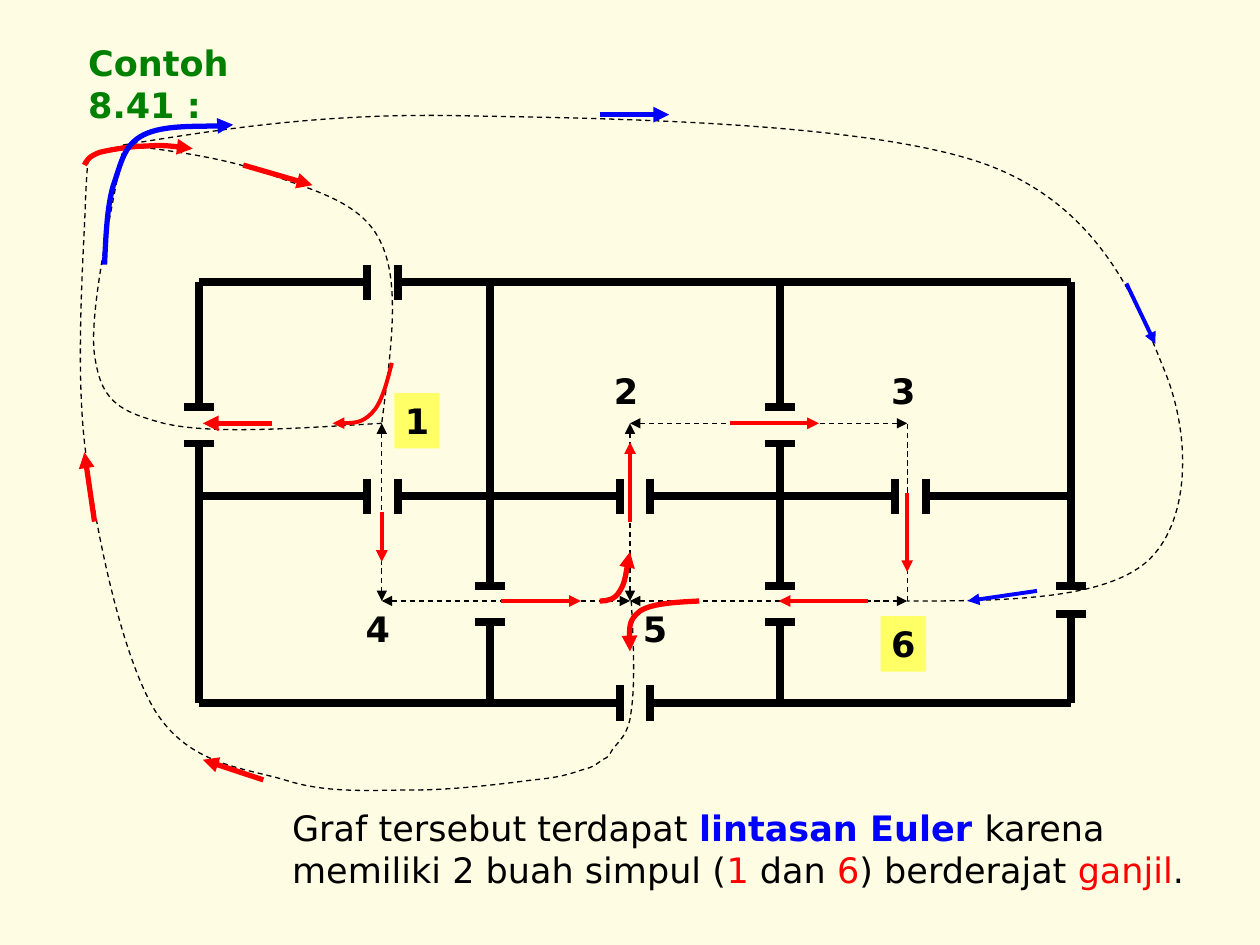
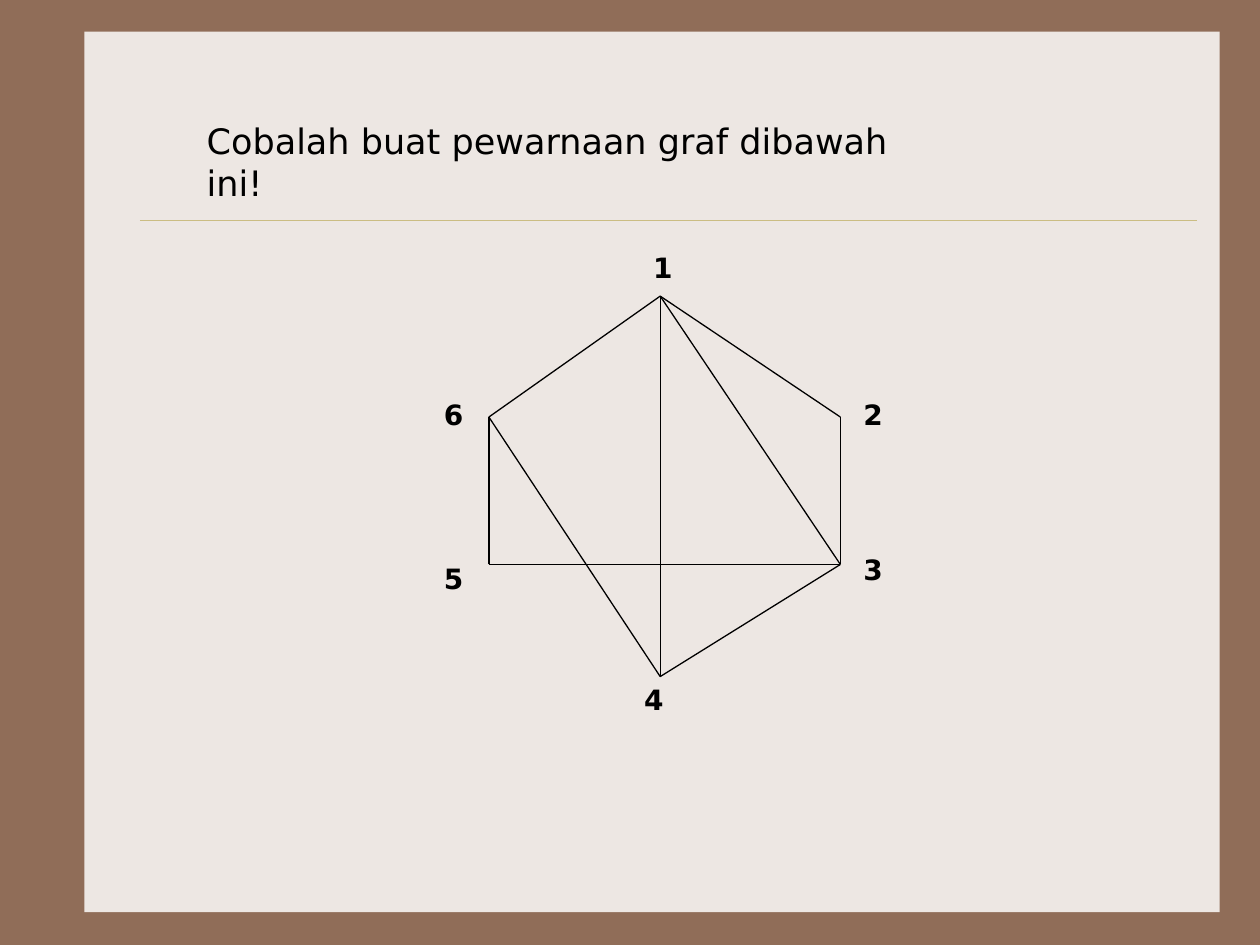
from dataclasses import dataclass
from itertools import chain

from lxml.etree import SubElement
from pptx import Presentation
from pptx.dml.color import RGBColor
from pptx.enum.dml import MSO_LINE
from pptx.enum.shapes import MSO_CONNECTOR, MSO_SHAPE
from pptx.enum.text import MSO_ANCHOR, MSO_AUTO_SIZE, PP_ALIGN
from pptx.oxml.ns import qn
from pptx.util import Inches, Pt


@dataclass(frozen=True)
class Theme:
    font: str = "DejaVu Sans"
    black: str = "000000"
    red: str = "FF0000"
    blue: str = "0000FF"
    green: str = "008000"
    yellow: str = "FFFF66"
    cream: str = "FEFDE3"
    brown: str = "906D58"
    paper: str = "EDE7E3"
    gold: str = "CBBD83"
    text_size: int = 20
    vertex_size: int = 16
    hairline: float = 0.25
    thin: float = 0.75
    medium: float = 2.25
    thick: float = 3
    wall: float = 4.5


THEME = Theme()
COLUMNS, ROWS = 100, 75
CELL = Inches(0.1)


def cells(*values):
    return [round(value * CELL) for value in values]


def write(frame, *paragraphs, size=THEME.text_size, color=THEME.black, bold=False,
          align=PP_ALIGN.LEFT, wrap=True):
    """Each paragraph is a string or a list of strings and (string, format) pairs."""
    frame.word_wrap = wrap
    frame.auto_size = MSO_AUTO_SIZE.NONE
    frame.vertical_anchor = MSO_ANCHOR.TOP
    for index, spans in enumerate(paragraphs):
        para = frame.add_paragraph() if index else frame.paragraphs[0]
        para.alignment = align
        para.space_before = Pt(0)
        for item in [spans] if isinstance(spans, str) else spans:
            words, look = (item, {}) if isinstance(item, str) else item
            span = para.add_run()
            span.text = words
            span.font.name = THEME.font
            span.font.size = Pt(size)
            span.font.bold = look.get("bold", bold)
            span.font.color.rgb = RGBColor.from_string(look.get("color", color))


class Page:
    def __init__(self, deck, background):
        self.slide = deck.slides.add_slide(deck.slide_layouts[5])
        self.canvas = self.slide.shapes
        fill = self.slide.background.fill
        fill.solid()
        fill.fore_color.rgb = RGBColor.from_string(background)

    def start_group(self):
        self.canvas = self.slide.shapes.add_group_shape().shapes

    def end_group(self):
        self.canvas = self.slide.shapes

    def title(self, words, left, top, width, height, **look):
        box = self.slide.shapes.title
        box.element.getparent().append(box.element)  # in front of any panel
        box.left, box.top, box.width, box.height = cells(left, top, width, height)
        write(box.text_frame, words, **look)

    def text(self, left, top, width, height, *paragraphs, **look):
        box = self.canvas.add_textbox(*cells(left, top, width, height))
        write(box.text_frame, *paragraphs, **look)

    def panel(self, left, top, width, height, color):
        box = self.canvas.add_shape(MSO_SHAPE.RECTANGLE, *cells(left, top, width, height))
        box.fill.solid()
        box.fill.fore_color.rgb = RGBColor.from_string(color)
        box.line.fill.background()
        box.shadow.inherit = False
        return box

    def label(self, words, left, top, width, height, fill=None, **look):
        place = left, top, width, height
        box = self.panel(*place, fill) if fill else self.canvas.add_textbox(*cells(*place))
        write(box.text_frame, words, bold=True, align=PP_ALIGN.CENTER, wrap=False, **look)

    def stroke(self, shape, color, width, dashed=False, ends=""):
        """ends names the arrowheads: any of 'head' and 'tail'."""
        shape.line.color.rgb = RGBColor.from_string(color)
        shape.line.width = Pt(width)
        if dashed:
            shape.line.dash_style = MSO_LINE.DASH
        properties = shape.element.spPr
        outline = properties.find(qn("a:ln"))
        for end in ends.split():
            SubElement(outline, qn(f"a:{end}End"), type="triangle")
        SubElement(properties, qn("a:effectLst"))

    def line(self, start, end, color=THEME.black, width=THEME.thin, **look):
        connector = self.canvas.add_connector(MSO_CONNECTOR.STRAIGHT, *cells(*start, *end))
        self.stroke(connector, color, width, **look)

    def curve(self, points, color=THEME.black, width=THEME.thin, **look):
        """Bezier path: a start point, then three points for each segment."""
        start, *others = [cells(*point) for point in points]
        builder = self.canvas.build_freeform(*start, scale=1.0)
        builder.add_line_segments(others, close=False)
        shape = builder.convert_to_shape()
        path = shape.element.find(".//" + qn("a:path"))
        corners = path.findall(qn("a:lnTo"))
        for first in range(0, len(corners), 3):
            segment = SubElement(path, qn("a:cubicBezTo"))
            for corner in corners[first:first + 3]:
                segment.append(corner[0])
                path.remove(corner)
        shape.fill.background()
        self.stroke(shape, color, width, **look)

    def wall(self, fixed, start, end, doors, upright=False):
        """Draw a wall broken by doors, with a jamb on both sides of each door."""
        def point(along, across):
            return (across, along) if upright else (along, across)

        jamb = 1.2 if upright else 1.4
        stops = [start, *chain.from_iterable(doors), end]
        for near, far in zip(stops[::2], stops[1::2]):
            self.line(point(near, fixed), point(far, fixed), width=THEME.wall)
        for edge in stops[1:-1]:
            self.line(point(edge, fixed - jamb), point(edge, fixed + jamb), width=THEME.wall)


def draw_house(page):
    left, inner_left, inner_right, right = 15.8, 38.9, 61.9, 85
    top, middle, bottom = 22.4, 39.4, 55.8
    west, center, east = (29.1, 31.6), (49.2, 51.6), (71, 73.5)
    upper, lower, exit_door = (32.3, 35.2), (46.5, 49.4), (46.5, 48.7)
    page.start_group()
    for row, doors in ((top, [west]), (middle, [west, center, east]), (bottom, [center])):
        page.wall(row, left, right, doors)
    for column, doors in ((left, [upper]), (inner_left, [lower]),
                          (inner_right, [upper, lower]), (right, [exit_door])):
        page.wall(column, top, bottom, doors, upright=True)
    page.end_group()


def draw_room_graph(page):
    west, center, east = 30.3, 50, 72
    upper, lower = 33.6, 47.7
    rooms = {1: (west, upper), 2: (center, upper), 3: (east, upper),
             4: (west, lower), 5: (center, lower), 6: (east, lower)}
    for start, end in ((1, 4), (5, 6), (3, 2), (4, 5), (5, 2)):
        page.line(rooms[start], rooms[end], dashed=True, ends="head tail")
    page.line(rooms[6], rooms[3], dashed=True)

    for room, place in {1: (31.3, 31.2), 2: (47.9, 28.8), 3: (69.9, 28.8),
                        4: (28.2, 47.7), 5: (50.2, 47.7), 6: (69.9, 48.9)}.items():
        page.label(str(room), *place, 3.6, 4.4, fill=THEME.yellow if room in (1, 6) else None)

    for start, end in (((west, 40.6), (west, 44.6)), ((39.8, lower), (46.1, lower)),
                       ((center, 41.4), (center, 35.1)), ((57.9, upper), (65, upper)),
                       ((east, 39.1), (east, 45.4)), ((68.9, lower), (61.8, lower))):
        page.line(start, end, THEME.red, THEME.medium, ends="tail")


def draw_outside_paths(page):
    outside = (9.8, 11.5)
    west_door = [(30.3, 33.6), (23.5, 34), (16.8, 34.5), (13, 33.6), (9.2, 32.6), (8, 31.7),
                 (7.5, 28.1), (7, 24.4), (9.4, 14.3), outside]
    north_door = [outside, (14, 12), (18.2, 12.6), (21.6, 13.9), (25.1, 15.2), (28.9, 16.1),
                  (30.3, 19.4), (31.8, 22.7), (31, 28.1), (30.3, 33.6)]
    east_door = [outside, (17.9, 10.2), (26, 8.9), (37.4, 9.2), (48.8, 9.4), (69.2, 9.7),
                 (78.4, 13.1), (87.5, 16.5), (90.4, 24.4), (92.5, 29.6), (94.6, 34.9),
                 (94.4, 41.6), (91, 44.6), (87.5, 47.6), (79.8, 47.7), (72, 47.7)]
    south_door = [(50.1, 47.7), (50.3, 51.1), (50.4, 54.4), (50.1, 56.4), (49.9, 58.4),
                  (49, 58.9), (48.6, 59.5), (48.2, 60.2), (48.2, 60.1), (47.8, 60.3),
                  (47.4, 60.6), (47.1, 60.9), (46.2, 61.1), (45.3, 61.4), (44.5, 61.7),
                  (42.3, 61.9), (40, 62.2), (36.1, 62.7), (32.8, 62.7), (29.5, 62.7),
                  (26, 63), (22.6, 61.9), (19.2, 60.9), (15, 60.7), (12.3, 56.4),
                  (9.7, 52.1), (7.7, 42.7), (6.8, 35.9), (5.9, 29.1), (6.7, 19.4),
                  (6.8, 15.5), (7, 11.5), (7, 13), (7.6, 12.3), (8.3, 11.7), (10.4, 11.7),
                  (10.8, 11.5)]
    for route in (west_door, north_door, east_door, south_door):
        page.curve(route, dashed=True)


def draw_outside_arrows(page):
    red, blue, medium, thick = THEME.red, THEME.blue, THEME.medium, THEME.thick
    for color, width, points in (
        (red, thick, [(47.6, 47.7), (48.2, 47.7), (48.8, 47.6), (49.2, 46.9),
                      (49.6, 46.3), (49.9, 44.3), (50, 43.8)]),
        (red, thick, [(55.5, 47.7), (53.6, 47.8), (51.7, 47.9), (50.8, 48.5),
                      (49.9, 49.2), (49.9, 50.4), (50, 51.7)]),
        (red, thick, [(6.7, 13.1), (6.9, 12.7), (7.1, 12.4), (7.9, 12.1), (8.7, 11.9),
                      (10.4, 11.6), (11.6, 11.6), (12.9, 11.5), (14.7, 11.7), (15.3, 11.8)]),
        (blue, thick, [(8.3, 21), (8.4, 18.7), (8.5, 16.4), (9, 14.7), (9.6, 13),
                       (9.8, 11.5), (11.4, 10.7), (13, 9.9), (17.3, 10.1), (18.5, 9.9)]),
        (red, medium, [(31.1, 28.8), (30.7, 30.4), (30.3, 32), (29.5, 32.8),
                       (28.7, 33.6), (27.6, 33.6), (26.4, 33.6)]),
    ):
        page.curve(points, color, width, ends="tail")
    for color, width, start, end in (
        (red, thick, (20.9, 61.9), (16.1, 60.3)),
        (red, thick, (7.5, 41.4), (6.7, 35.9)),
        (red, thick, (19.3, 13.1), (24.8, 14.7)),
        (red, thick, (21.6, 33.6), (16.1, 33.6)),
        (blue, thick, (47.6, 9.1), (53.1, 9.1)),
        (blue, medium, (89.4, 22.5), (91.7, 27.3)),
        (blue, medium, (82.3, 46.9), (76.8, 47.7)),
    ):
        page.line(start, end, color, width, ends="tail")


def add_euler_slide(deck):
    page = Page(deck, THEME.cream)
    draw_house(page)
    page.title("Contoh 8.41 :", 6, 2.8, 20.6, 4.4, color=THEME.green, bold=True)
    draw_room_graph(page)
    draw_outside_paths(page)
    draw_outside_arrows(page)
    red = {"color": THEME.red}
    page.text(22.2, 63.5, 77.5, 7.7,
              ["Graf tersebut terdapat ",
               ("lintasan Euler ", {"color": THEME.blue, "bold": True}), "karena"],
              ["memiliki 2 buah simpul (", ("1", red), " dan ", ("6", red),
               ") berderajat ", ("ganjil", red), "."])


def add_coloring_slide(deck):
    page = Page(deck, THEME.brown)
    page.panel(6.7, 2.5, 90.1, 69.9, THEME.paper)
    page.line((11.1, 17.5), (95, 17.5), THEME.gold, THEME.hairline)
    page.title("Cobalah buat pewarnaan graf dibawah ini!", 15.4, 9, 57.5, 4.4)

    left, middle, right = 38.8, 52.4, 66.7
    upper, lower = 33.1, 44.8
    vertices = {1: (middle, 23.5), 2: (right, upper), 3: (right, lower),
                4: (middle, 53.7), 5: (left, lower), 6: (left, upper)}
    page.start_group()
    for start, end in ((5, 3), (5, 6), (6, 1), (1, 3), (3, 2), (1, 2), (1, 4), (4, 3), (4, 6)):
        page.line(vertices[start], vertices[end])
    for vertex, place in {1: (51, 19.4), 2: (67.7, 31.1), 3: (67.7, 43.4),
                          4: (50.3, 53.7), 5: (34.4, 44.1), 6: (34.4, 31.1)}.items():
        page.label(str(vertex), *place, 3.2, 3.7, size=THEME.vertex_size)
    page.end_group()


def main():
    deck = Presentation()
    deck.slide_width, deck.slide_height = cells(COLUMNS, ROWS)
    add_euler_slide(deck)
    add_coloring_slide(deck)
    deck.save("out.pptx")


if __name__ == "__main__":
    main()
